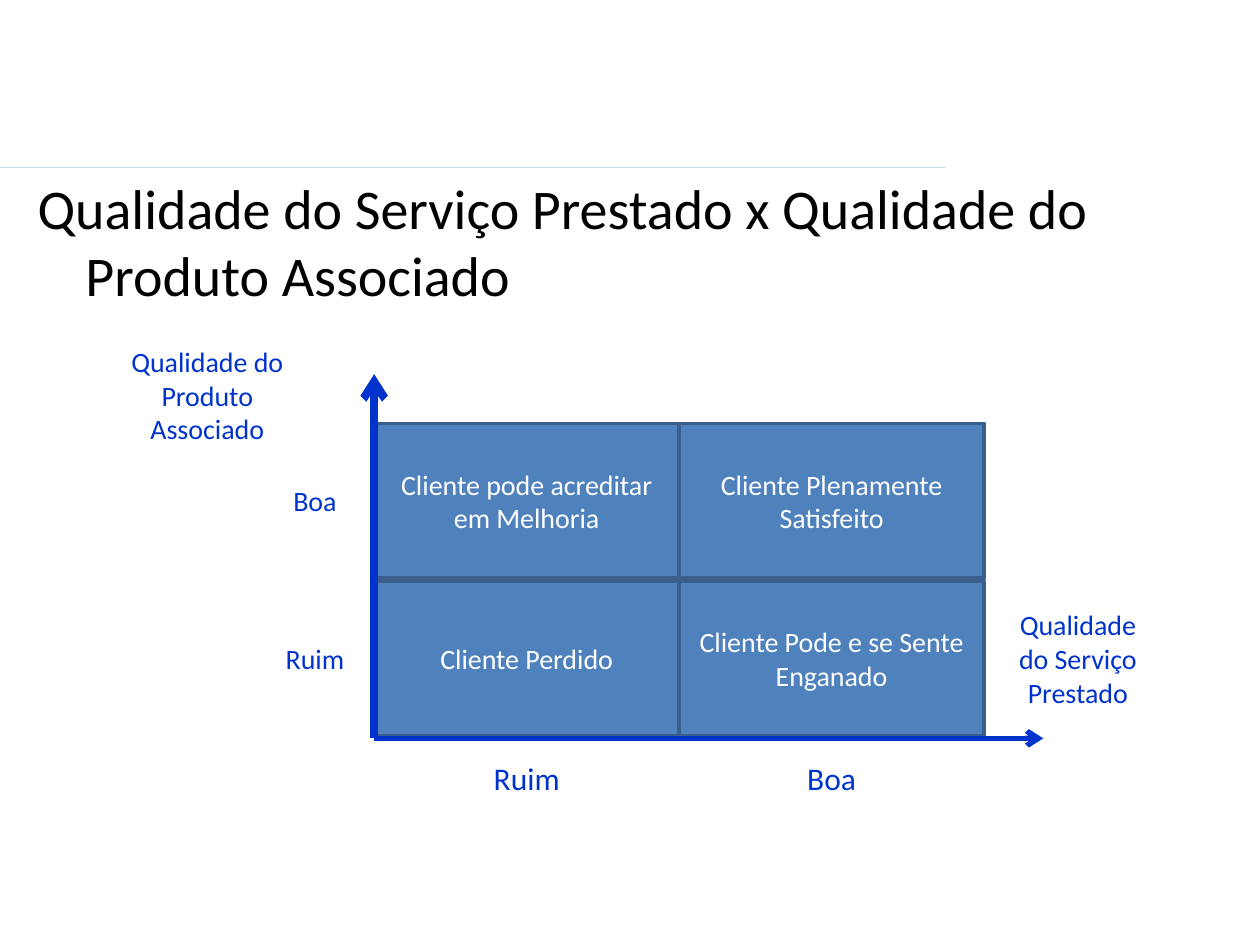
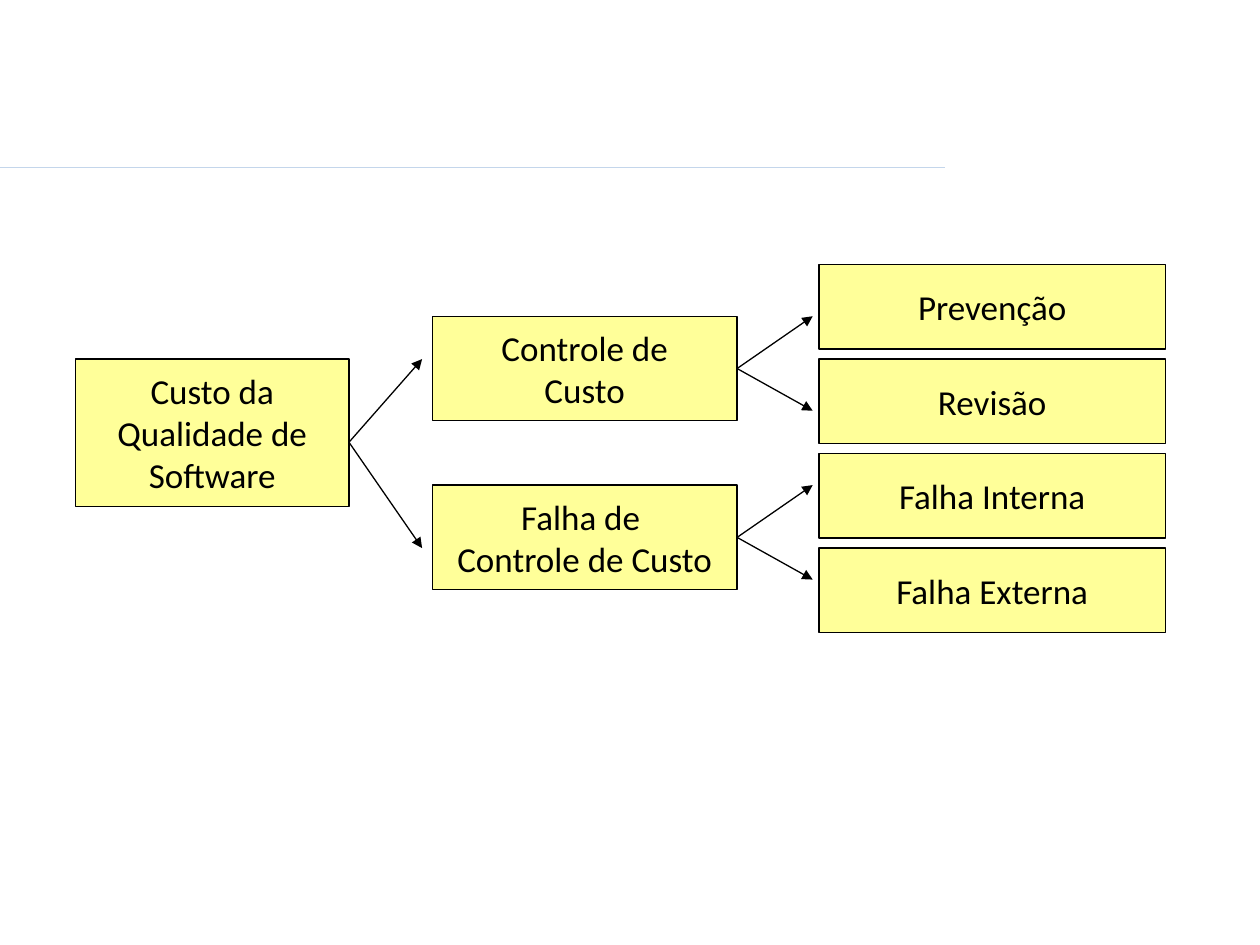
"""Build two slides on service quality and the cost of software quality."""
from dataclasses import dataclass

from lxml.etree import SubElement
from pptx import Presentation
from pptx.dml.color import RGBColor
from pptx.enum.shapes import MSO_CONNECTOR, MSO_SHAPE
from pptx.enum.text import MSO_ANCHOR, PP_ALIGN
from pptx.oxml.ns import qn
from pptx.util import Pt

PX = 9144


@dataclass(frozen=True)
class Theme:
    font: str = "Calibri"
    black: RGBColor = RGBColor(0, 0, 0)
    white: RGBColor = RGBColor(255, 255, 255)
    rule: RGBColor = RGBColor(0xC4, 0xD6, 0xEB)
    axis: RGBColor = RGBColor(0x00, 0x33, 0xCC)
    quadrant: RGBColor = RGBColor(0x4F, 0x81, 0xBD)
    quadrant_edge: RGBColor = RGBColor(0x3A, 0x5F, 0x8C)
    cost: RGBColor = RGBColor(0xFF, 0xFF, 0x99)
    title_size: int = 32
    cost_size: int = 20
    scale_size: int = 18
    label_size: int = 16
    thin: float = 0.75


theme = Theme()
quadrant_look = dict(fill=theme.quadrant, edge=theme.quadrant_edge, width=2,
                     color=theme.white, size=theme.label_size, wrap=True)
label_look = dict(fill=theme.white, edge=None, width=0,
                  color=theme.axis, size=theme.label_size, wrap=True)
scale_look = label_look | dict(size=theme.scale_size)
cost_look = dict(fill=theme.cost, edge=theme.black, width=theme.thin,
                 color=theme.black, size=theme.cost_size, wrap=False)


def add_box(slide, left, top, width, height, text, look):
    box = slide.shapes.add_shape(MSO_SHAPE.RECTANGLE, left * PX, top * PX, width * PX, height * PX)
    box.shadow.inherit = False
    box.fill.solid()
    box.fill.fore_color.rgb = look["fill"]
    if look["edge"] is None:
        box.line.fill.background()
    else:
        box.line.color.rgb = look["edge"]
        box.line.width = Pt(look["width"])
    frame = box.text_frame
    frame.text = text
    frame.word_wrap = look["wrap"]
    frame.vertical_anchor = MSO_ANCHOR.MIDDLE
    for paragraph in frame.paragraphs:
        paragraph.alignment = PP_ALIGN.CENTER
        for name, value in dict(name=theme.font, size=Pt(look["size"])).items():
            setattr(paragraph.font, name, value)
        paragraph.font.color.rgb = look["color"]
    return box


def add_line(slide, start, end, color, width, head=None):
    line = slide.shapes.add_connector(MSO_CONNECTOR.STRAIGHT, *(value * PX for value in start + end))
    line.line.color.rgb = color
    line.line.width = Pt(width)
    if head:
        SubElement(line.line._get_or_add_ln(), qn("a:tailEnd"), type=head)
    SubElement(line._element.spPr, qn("a:effectLst"))
    return line


deck = Presentation()
deck.slide_width, deck.slide_height = 1000 * PX, 750 * PX
matrix_slide, cost_slide = (deck.slides.add_slide(deck.slide_layouts[6]) for _ in range(2))
for slide in (matrix_slide, cost_slide):
    add_line(slide, (0, 133), (750, 133), theme.rule, theme.thin)

heading = matrix_slide.shapes.add_textbox(20 * PX, 133 * PX, 961 * PX, 534 * PX).text_frame
heading.text = "Qualidade do Serviço Prestado x Qualidade do Produto Associado"
heading.word_wrap = True
title = heading.paragraphs[0]
for name, value in dict(marL=38 * PX, indent=-38 * PX).items():
    title._p.get_or_add_pPr().set(name, str(value))
for name, value in dict(name=theme.font, size=Pt(theme.title_size)).items():
    setattr(title.font, name, value)
title.font.color.rgb = theme.black

matrix_left, matrix_top, matrix_bottom = 297, 336, 586
quadrant_width, quadrant_height, row_step = 242, 123, 125
outcomes = [["Cliente pode acreditar em Melhoria", "Cliente Plenamente Satisfeito"],
            ["Cliente Perdido", "Cliente Pode e se Sente Enganado"]]
for row, texts in enumerate(outcomes):
    for column, text in enumerate(texts):
        add_box(matrix_slide, matrix_left + column * quadrant_width, matrix_top + row * row_step,
                quadrant_width, quadrant_height, text, quadrant_look)
for column, level in enumerate(["Ruim", "Boa"]):
    add_box(matrix_slide, matrix_left + column * quadrant_width, matrix_bottom,
            quadrant_width, 62, level, scale_look)
for row, level in enumerate(["Boa", "Ruim"]):
    add_box(matrix_slide, 203, matrix_top + row * row_step, 94, quadrant_height, level, label_look)
add_box(matrix_slide, 94, 252, 141, quadrant_height, "Qualidade do Produto Associado", label_look)
add_box(matrix_slide, 789, 461, 133, quadrant_height, "Qualidade do Serviço Prestado", label_look)
axis_origin = (matrix_left, matrix_bottom)
for axis_end, width in [((matrix_left, 297), 4.5), ((828, matrix_bottom), 3)]:
    add_line(matrix_slide, axis_origin, axis_end, theme.axis, width, "arrow")

for row, text in enumerate(["Prevenção", "Revisão", "Falha Interna", "Falha Externa"]):
    add_box(cost_slide, 650, 210 + 75 * row, 275, 67, text, cost_look)
add_box(cost_slide, 60, 285, 217, 117, "Custo da\nQualidade de\nSoftware", cost_look)
for target_y in (285, 435):
    add_line(cost_slide, (277, 351), (335, target_y), theme.black, theme.thin, "triangle")
for top, text in [(251, "Controle de\nCusto"), (385, "Falha de \nControle de Custo")]:
    branch = add_box(cost_slide, 343, top, 242, 83, text, cost_look)
    for target_y in (top, top + 75):
        arrow = add_line(cost_slide, (585, top + 42), (645, target_y),
                         theme.black, theme.thin, "triangle")
        arrow.begin_connect(branch, 3)

deck.save("out.pptx")
